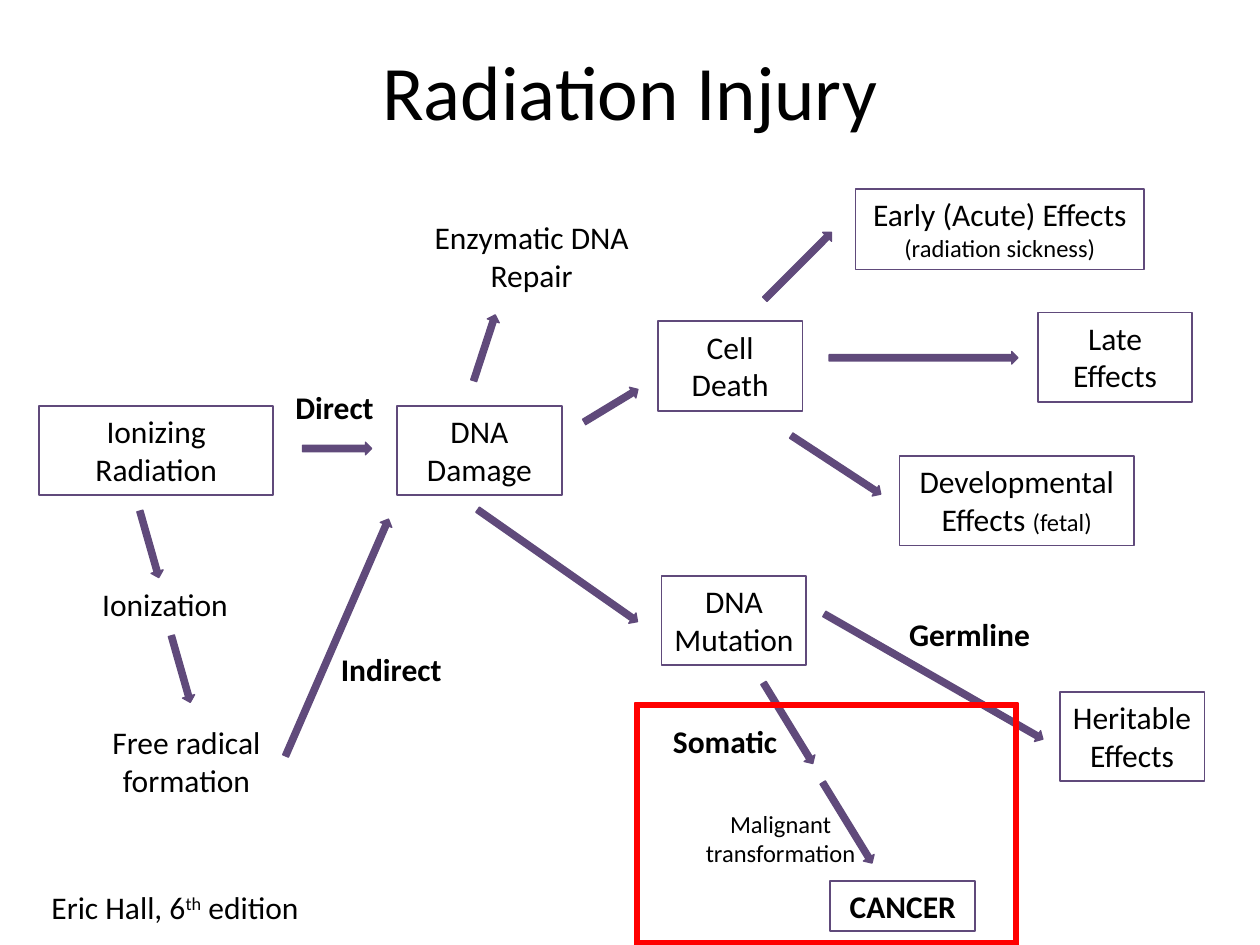
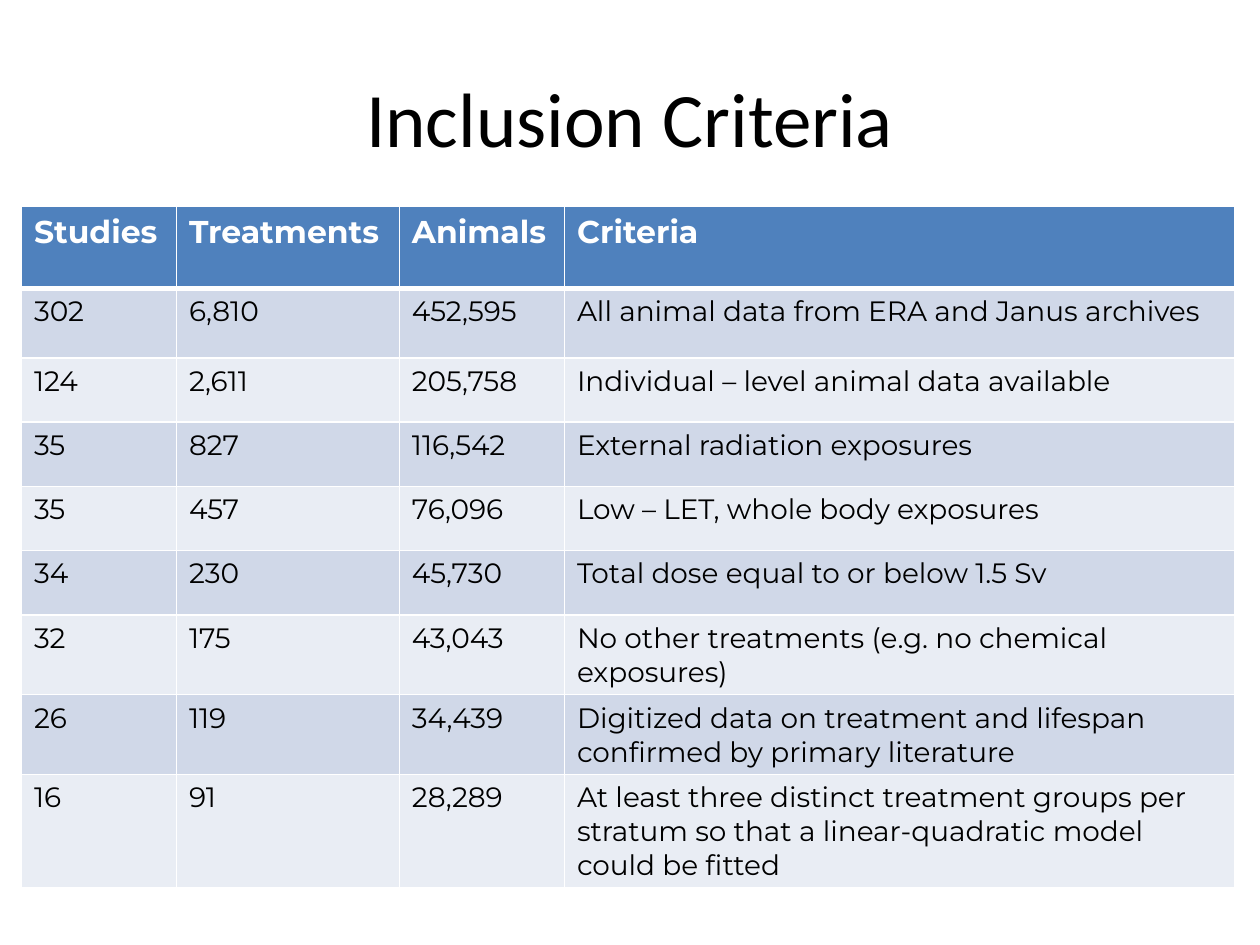
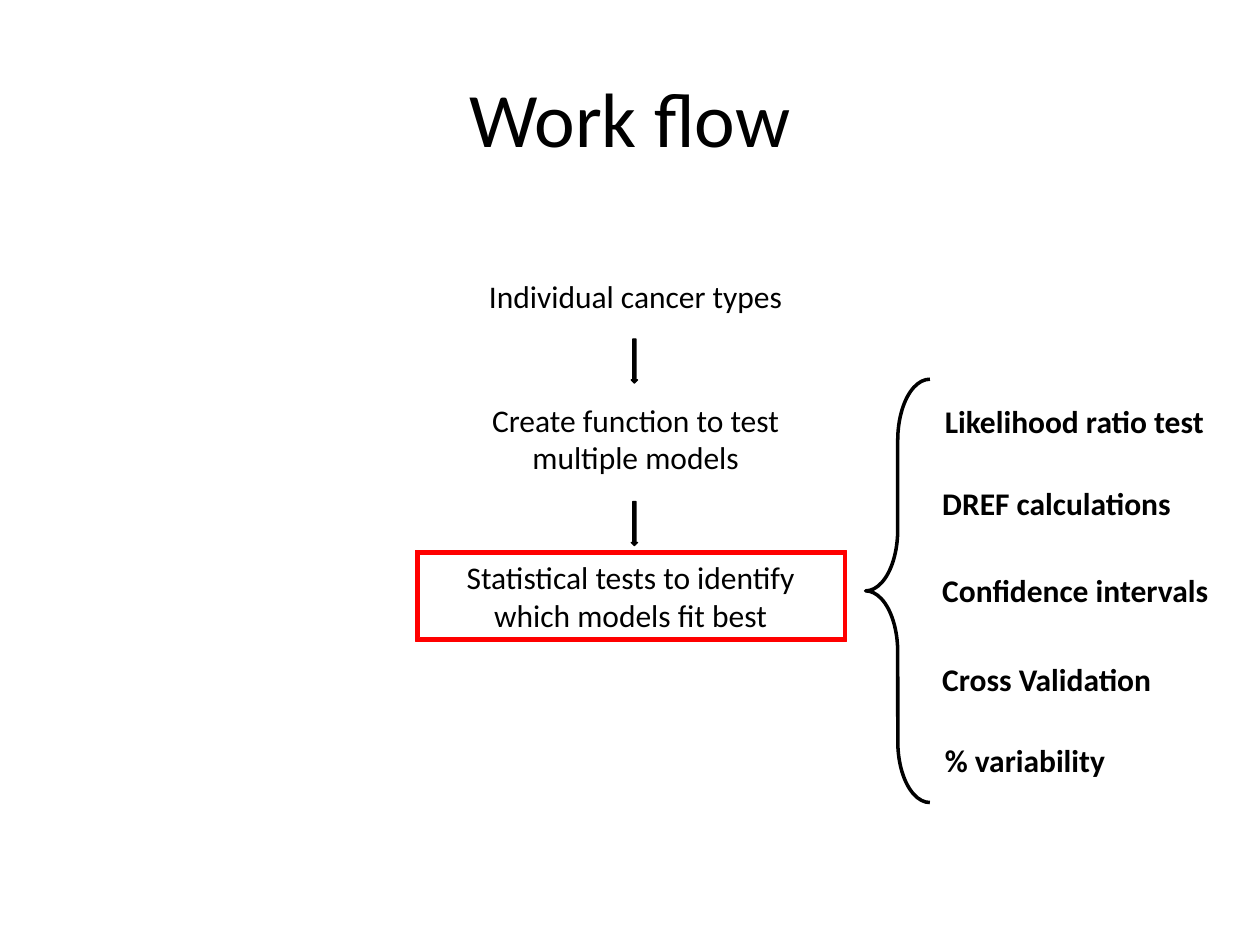
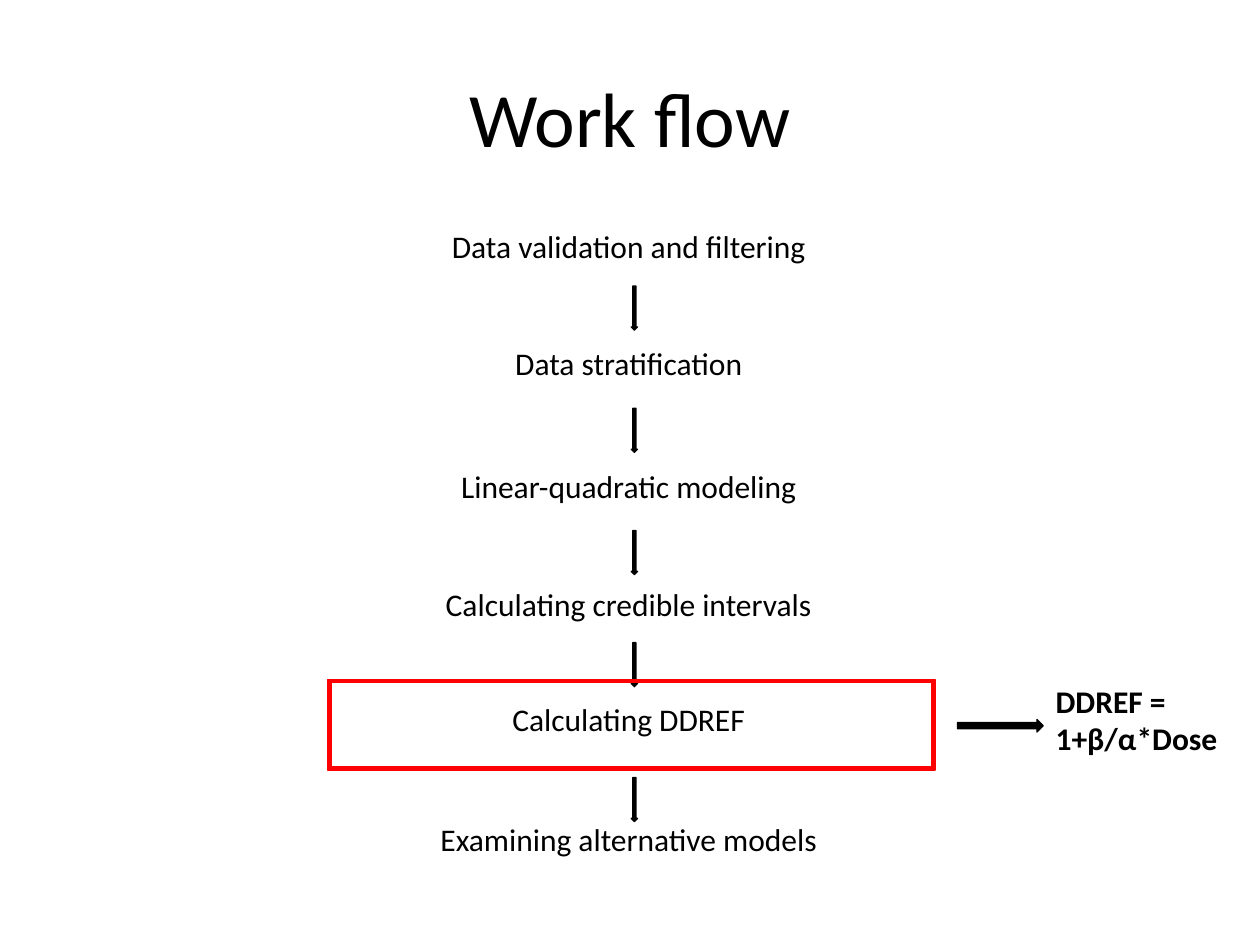
import pptx
import pptx.util
import pptx.dml.color
import pptx.enum.shapes
import pptx.enum.text
import pptx.oxml

Inches = pptx.util.Inches
Pt = pptx.util.Pt
SHAPE = pptx.enum.shapes.MSO_SHAPE
ALIGN = pptx.enum.text.PP_ALIGN
ANCHOR = pptx.enum.text.MSO_ANCHOR
FIT = pptx.enum.text.MSO_AUTO_SIZE

COLORS = {
    "text": "000000", "white": "FFFFFF", "purple": "604A7B", "red": "FF0000",
    "head": "4F81BD", "odd": "D0D8E8", "even": "E9EDF4",
}
LINE = (
    '<a:{side} xmlns:a="http://schemas.openxmlformats.org/drawingml/2006/main" w="{width}">'
    '<a:solidFill><a:srgbClr val="{color}"/></a:solidFill></a:{side}>'
)


def rgb(name):
    return pptx.dml.color.RGBColor.from_string(COLORS[name])


class Deck:
    """Holds the shared style and the current slide."""

    def __init__(self):
        self.show = pptx.Presentation()
        self.show.slide_width = Inches(10)
        self.show.slide_height = Inches(7.5)
        self.font = "Calibri"
        self.slide = None

    def start(self, title, top=0.3):
        self.slide = self.show.slides.add_slide(self.show.slide_layouts[6])
        box = self.text(title, (0.5, top, 9, 1.25), size=44)
        box.text_frame.auto_size = FIT.NONE
        box.text_frame.vertical_anchor = ANCHOR.MIDDLE

    def run(self, para, words, size=18, bold=False, color="text", font=None, base=0):
        run = para.add_run()
        run.text = words
        run.font.size = Pt(size)
        run.font.bold = bold
        run.font.name = font or self.font
        run.font.color.rgb = rgb(color)
        if base:
            run._r.get_or_add_rPr().set("baseline", str(base * 1000))

    def fill(self, shape, words, align=ALIGN.CENTER, **style):
        """Words are one string or a list of (string, own style) runs."""
        frame = shape.text_frame
        frame.word_wrap = True
        frame.auto_size = FIT.SHAPE_TO_FIT_TEXT
        frame.vertical_anchor = ANCHOR.TOP
        para = frame.paragraphs[0]
        para.alignment = align
        for part, own in [(words, {})] if isinstance(words, str) else words:
            self.run(para, part, **{**style, **own})

    def text(self, words, at, **style):
        box = self.slide.shapes.add_textbox(*map(Inches, at))
        self.fill(box, words, **style)
        return box

    def shape(self, kind, at, line, width=0.75, fill=None, turn=0, adjust=()):
        item = self.slide.shapes.add_shape(kind, *map(Inches, at))
        item.shadow.inherit = False
        item.rotation = turn
        item.line.color.rgb = rgb(line)
        item.line.width = Pt(width)
        if fill:
            item.fill.solid()
            item.fill.fore_color.rgb = rgb(fill)
        else:
            item.fill.background()
        for index, value in enumerate(adjust):
            item.adjustments[index] = value
        return item

    def box(self, words, at, **style):
        self.fill(self.shape(SHAPE.RECTANGLE, at, "purple", 1), words, **style)

    def arrow(self, left, top, size, turn=0, color="purple"):
        self.shape(SHAPE.RIGHT_ARROW, (left, top, size, 0.1), color, fill=color, turn=turn)

    def down(self, left, top):
        self.shape(SHAPE.DOWN_ARROW, (left, top, 0.05, 0.35), "text", fill="text")

    def frame(self, at, adjust):
        self.shape(SHAPE.FRAME, at, "red", fill="red", adjust=[adjust])

    def cell(self, cell, words, row):
        head = row == 0
        widths = {"lnL": 1, "lnR": 1, "lnT": 3 if row == 1 else 1, "lnB": 3 if head else 1}
        props = cell._tc.get_or_add_tcPr()
        for side, width in widths.items():
            props.append(pptx.oxml.parse_xml(
                LINE.format(side=side, width=Pt(width), color=COLORS["white"])))
        cell.fill.solid()
        cell.fill.fore_color.rgb = rgb("head" if head else "odd" if row % 2 else "even")
        self.run(cell.text_frame.paragraphs[0], words, 18 if head else 16, head,
                 "white" if head else "text", "Montserrat")

    def table(self, at, cols, heights, rows):
        grid = self.slide.shapes.add_table(len(rows), len(cols), *map(Inches, at)).table
        grid.horz_banding = False
        for col, width in zip(grid.columns, cols):
            col.width = Inches(width)
        for row, height in zip(grid.rows, heights):
            row.height = Inches(height)
        for r, row in enumerate(rows):
            for c, words in enumerate(row):
                self.cell(grid.cell(r, c), words, r)


def injury(deck):
    deck.start("Radiation Injury", 0.09)
    small = {"size": 14}

    # Boxed stages and outcomes
    for words, at in [
        ("Ionizing Radiation", (0.31, 3.22, 1.86, 0.71)),
        ("DNA Damage", (3.15, 3.22, 1.31, 0.71)),
        ("Cell Death", (5.22, 2.55, 1.15, 0.71)),
        ("DNA Mutation", (5.25, 4.57, 1.15, 0.71)),
        ([("Early (Acute) Effects ", {}), ("(radiation sickness)", small)],
         (6.79, 1.5, 2.29, 0.64)),
        ("Late Effects", (8.24, 2.48, 1.22, 0.71)),
        ([("Developmental Effects ", {}), ("(fetal)", small)], (7.14, 3.62, 1.86, 0.71)),
        ("Heritable Effects", (8.41, 5.49, 1.15, 0.71)),
        ([("CANCER", {"bold": True})], (6.59, 6.99, 1.15, 0.4)),
    ]:
        deck.box(words, at)

    # Arrows: left, top, length, turn
    for arrow in [
        (0.91, 4.27, 0.55, 74.1), (1.16, 5.26, 0.55, 74.1),
        (1.65, 5.01, 2.05, 293.5), (2.4, 3.51, 0.55),
        (3.57, 2.71, 0.55, 288.1), (3.65, 4.44, 1.55, 35),
        (4.6, 3.17, 0.5, 328.8), (5.96, 2.06, 0.75, 314.9),
        (6.58, 2.79, 1.5), (6.21, 3.64, 0.85, 33.2),
        (6.41, 5.32, 2, 29.8), (5.88, 5.69, 0.75, 58.5),
        (6.35, 6.48, 0.75, 58.5),
    ]:
        deck.arrow(*arrow)

    # Plain steps
    deck.text("Enzymatic DNA Repair", (3.15, 1.68, 2.14, 0.71))
    deck.text("Ionization", (0.24, 4.59, 2.14, 0.4))
    deck.text("Free radical formation", (0.41, 5.69, 2.14, 0.71))
    deck.text("Malignant transformation", (5.3, 6.37, 1.79, 0.57), size=14)

    # Path names
    for words, left, top in [
        ("Direct", 1.94, 3.03), ("Indirect", 2.39, 5.11),
        ("Germline", 6.98, 4.83), ("Somatic", 5.04, 5.68),
    ]:
        deck.text(words, (left, top, 1.43, 0.4), bold=True)

    # Focus frame and source
    deck.frame((5.04, 5.58, 3.04, 1.92), 0.019)
    deck.text([("Eric Hall, 6", {}), ("th", {"base": 30}), (" edition", {})],
              (0.31, 7, 2.39, 0.4), align=ALIGN.LEFT)


def criteria(deck):
    deck.start("Inclusion Criteria")
    deck.table(
        (0.17, 1.64, 9.63, 5.13),
        [1.23, 1.77, 1.31, 5.32],
        [0.65, 0.55] + [0.51] * 4 + [0.55] * 2 + [0.79],
        [
            ("Studies", "Treatments", "Animals", "Criteria"),
            ("302", "6,810", "452,595", "All animal data from ERA and Janus archives"),
            ("124", "2,611", "205,758", "Individual – level animal data available"),
            ("35", "827", "116,542", "External radiation exposures"),
            ("35", "457", "76,096", "Low – LET, whole body exposures"),
            ("34", "230", "45,730", "Total dose equal to or below 1.5 Sv"),
            ("32", "175", "43,043", "No other treatments (e.g. no chemical exposures)"),
            ("26", "119", "34,439",
             "Digitized data on treatment and lifespan confirmed by primary literature"),
            ("16", "91", "28,289",
             "At least three distinct treatment groups per stratum so that a "
             "linear-quadratic model could be fitted"),
        ],
    )


def testing(deck):
    deck.start("Work flow")

    # Steps
    deck.text("Individual cancer types", (3.39, 2.15, 3.31, 0.4))
    deck.text("Create function to test multiple models", (3.39, 3.13, 3.31, 0.71))
    deck.text("Statistical tests to identify which models fit best", (3.35, 4.38, 3.31, 0.71))
    for top in (2.69, 3.98):
        deck.down(5.01, top)
    deck.frame((3.3, 4.37, 3.42, 0.72), 0.039)

    # Braced list of tests
    deck.shape(SHAPE.LEFT_BRACE, (6.87, 3.01, 0.51, 3.36), "text", 2, adjust=[0.954, 0.5])
    for words, left, top in [
        ("Likelihood ratio test", 7.4, 3.14),
        ("DREF calculations", 7.38, 3.79),
        ("Confidence intervals", 7.38, 4.48),
        ("Cross Validation", 7.38, 5.19),
        ("% variability", 7.4, 5.83),
    ]:
        deck.text(words, (left, top, 2.6, 0.4), align=ALIGN.LEFT, bold=True)


def modeling(deck):
    deck.start("Work flow")

    # Steps
    for words, top in [
        ("Data validation and filtering", 1.75),
        ("Data stratification", 2.68),
        ("Linear-quadratic modeling", 3.66),
        ("Calculating credible intervals", 4.59),
        ("Calculating DDREF", 5.51),
        ("Examining alternative models", 6.46),
    ]:
        deck.text(words, (1.94, top, 6.1, 0.4))
    for top in (2.27, 3.24, 4.21, 5.1, 6.17):
        deck.down(5.01, top)

    # Highlighted step and its formula
    deck.frame((2.6, 5.39, 4.82, 0.72), 0.039)
    deck.text("DDREF = 1+β/α*Dose", (8.28, 5.36, 1.5, 0.71), align=ALIGN.LEFT, bold=True)
    deck.arrow(7.6, 5.71, 0.68, color="text")


def main():
    deck = Deck()
    for build in (injury, criteria, testing, modeling):
        build(deck)
    deck.show.save("out.pptx")


if __name__ == "__main__":
    main()
